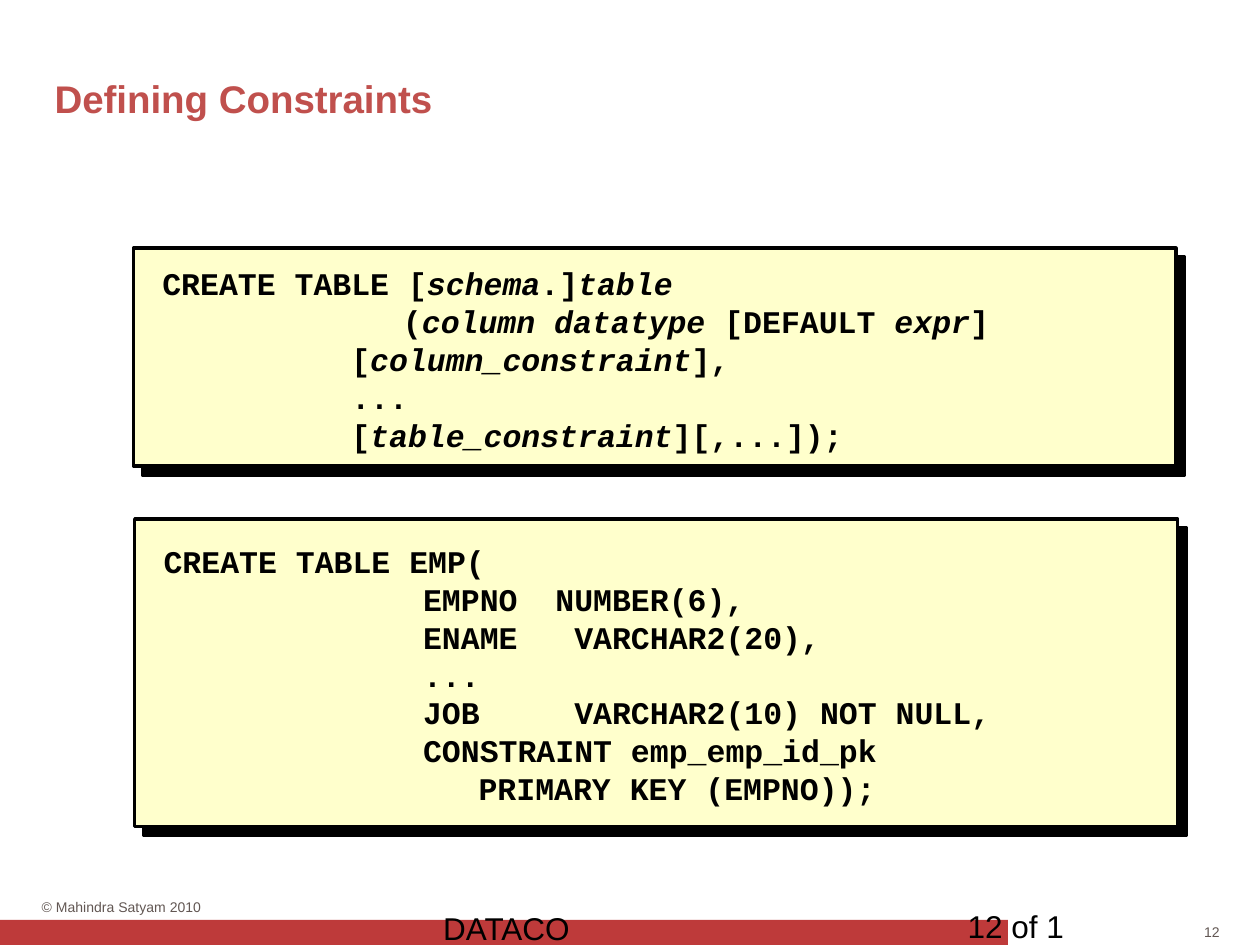
from dataclasses import dataclass
from itertools import cycle

from lxml import etree
from pptx import Presentation
from pptx.dml.color import RGBColor
from pptx.enum import shapes, text
from pptx.oxml import ns
from pptx.util import Pt


@dataclass(frozen=True)
class Theme:
    title: str = "C0504D"
    bar: str = "BE3A3A"
    muted: str = "625753"
    ink: str = "000000"
    panel: str = "FFFFCC"
    sans: str = "Arial"
    mono: str = "Courier New"
    title_size: int = 22
    text_size: int = 18
    small_size: int = 8


THEME = Theme()
CODE_TAB = 94.3  # points from the left edge of the code

# Asterisks switch italics on and off
SYNTAX = [
    "CREATE TABLE [*schema*.]*table*",
    "\t    (*column datatype* [DEFAULT *expr*]",
    "\t\t[*column_constraint*],",
    "\t\t...",
    "\t\t[*table_constraint*][,...]);",
]
EXAMPLE = [
    "CREATE TABLE EMP(",
    "\t     EMPNO  NUMBER(6),",
    "\t     ENAME   VARCHAR2(20),",
    "\t     ...",
    "\t     JOB     VARCHAR2(10) NOT NULL,",
    "\t     CONSTRAINT emp_emp_id_pk",
    "\t\t\t\tPRIMARY KEY (EMPNO));",
]


def set_attributes(target, values):
    for name, value in values.items():
        setattr(target, name, value)


def format_font(font, color, **values):
    set_attributes(font, values)
    font.color.rgb = RGBColor.from_string(color)


def format_frame(tf, margins=(7.2, 3.6), anchor=text.MSO_ANCHOR.TOP):
    x, y = map(Pt, margins)
    set_attributes(tf, {
        "margin_left": x, "margin_right": x, "margin_top": y, "margin_bottom": y,
        "word_wrap": True, "auto_size": text.MSO_AUTO_SIZE.NONE,
        "vertical_anchor": anchor,
    })


def add_rect(parent, box, fill):
    s = parent.add_shape(shapes.MSO_SHAPE.RECTANGLE, *map(Pt, box))
    s.shadow.inherit = False
    s.fill.solid()
    s.fill.fore_color.rgb = RGBColor.from_string(fill)
    s.line.fill.background()
    return s


def add_label(parent, box, words, size, color, align=text.PP_ALIGN.LEFT, **frame):
    tf = parent.add_textbox(*map(Pt, box)).text_frame
    format_frame(tf, **frame)
    p = tf.paragraphs[0]
    p.alignment = align
    r = p.add_run()
    r.text = words
    format_font(r.font, color, name=THEME.sans, size=Pt(size))


def add_hard_shadow(s):
    effects = s._element.spPr.find(ns.qn("a:effectLst"))
    shadow = etree.SubElement(effects, ns.qn("a:outerShdw"), {
        "blurRad": "0", "dist": str(Pt(7.1)), "dir": str(45 * 60000),
        "algn": "ctr", "rotWithShape": "0"})
    etree.SubElement(shadow, ns.qn("a:srgbClr"), val=THEME.ink)


def add_tab_stop(p, position):
    tabs = etree.SubElement(p._p.get_or_add_pPr(), ns.qn("a:tabLst"))
    etree.SubElement(tabs, ns.qn("a:tab"), pos=str(Pt(position)), algn="l")


def add_code_panel(parent, box, lines):
    left, top, width, height = box
    group = parent.add_group_shape().shapes

    # Framed background
    s = add_rect(group, box, THEME.panel)
    s.line.color.rgb = RGBColor.from_string(THEME.ink)
    s.line.width = Pt(2)
    add_hard_shadow(s)

    # Code
    code_box = (left + 9.4, top, 601, height + 2)
    tf = group.add_textbox(*map(Pt, code_box)).text_frame
    format_frame(tf, anchor=text.MSO_ANCHOR.MIDDLE)
    for i, line in enumerate(lines):
        p = tf.add_paragraph() if i else tf.paragraphs[0]
        add_tab_stop(p, CODE_TAB)
        for part, italic in zip(line.split("*"), cycle((False, True))):
            if part:
                r = p.add_run()
                r.text = part
                format_font(r.font, THEME.ink, name=THEME.mono,
                            size=Pt(THEME.text_size), bold=True, italic=italic)


def set_title(s, words):
    set_attributes(s, dict(left=Pt(24), top=Pt(36.7), width=Pt(672), height=Pt(27)))
    tf = s.text_frame
    format_frame(tf, margins=(7.2, 6))
    p = tf.paragraphs[0]
    p.alignment = text.PP_ALIGN.LEFT
    r = p.add_run()
    r.text = words
    format_font(r.font, THEME.title, name=THEME.sans,
                size=Pt(THEME.title_size), bold=True)


def add_footer(parent):
    add_rect(parent, (0, 525.6, 576, 14.4), THEME.bar)
    add_label(parent, (686.9, 527.8, 10.1, 9.4), "12", THEME.small_size,
              THEME.muted, text.PP_ALIGN.RIGHT, margins=(0, 0),
              anchor=text.MSO_ANCHOR.MIDDLE)
    add_label(parent, (23.8, 513.4, 110.9, 9.4), "© Mahindra Satyam 2010",
              THEME.small_size, THEME.muted, margins=(0, 0))
    add_label(parent, (246.2, 516.2, 228.2, 19.4), "DATACO",
              THEME.text_size, THEME.ink)
    add_label(parent, (545.8, 514.8, 167.8, 25.2), "12 of 1",
              THEME.text_size, THEME.ink)


def main():
    prs = Presentation()
    prs.slide_width, prs.slide_height = Pt(720), Pt(540)
    slide = prs.slides.add_slide(prs.slide_layouts[5])

    add_footer(slide.shapes)
    set_title(slide.shapes.title, "Defining Constraints")
    add_code_panel(slide.shapes, (76.3, 141.8, 595.6, 124.6), SYNTAX)
    add_code_panel(slide.shapes, (77, 296.6, 596, 175.6), EXAMPLE)

    prs.save("out.pptx")


if __name__ == "__main__":
    main()
